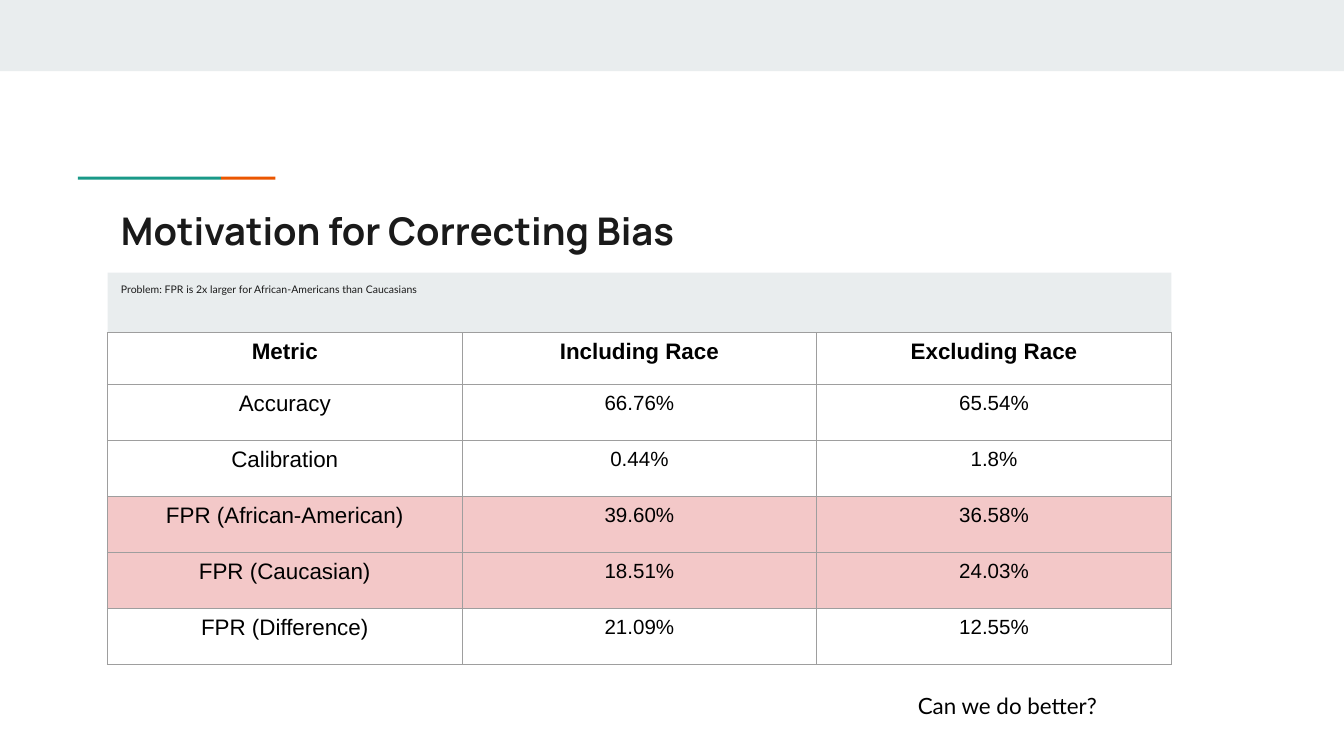
from lxml.etree import SubElement
from pptx import Presentation
from pptx.dml.color import RGBColor
from pptx.enum.shapes import MSO_SHAPE
from pptx.enum.text import MSO_ANCHOR, MSO_AUTO_SIZE, PP_ALIGN
from pptx.oxml import parse_xml
from pptx.oxml.ns import nsdecls, qn
from pptx.util import Pt

METRICS = [
    ("Metric", "Including Race", "Excluding Race"),
    ("Accuracy", "66.76%", "65.54%"),
    ("Calibration", "0.44%", "1.8%"),
    ("FPR (African-American)", "39.60%", "36.58%"),
    ("FPR (Caucasian)", "18.51%", "24.03%"),
    ("FPR (Difference)", "21.09%", "12.55%"),
]
HIGHLIGHTED_ROWS = (3, 4)


def color(value):
    return RGBColor.from_string(value)


class SlideBuilder:
    ink = "1A1A1A"
    black = "000000"
    band = "E9EDEE"
    teal = "1A9988"
    orange = "EB5600"
    highlight = "F3C8C8"
    border = "9E9E9E"
    inset = 7.2

    def __init__(self, page):
        self.page = page

    def place(self, shape, left, top, width, height):
        bounds = {"left": left, "top": top, "width": width, "height": height}
        for name, value in bounds.items():
            setattr(shape, name, Pt(value))

    def fill_text(self, frame, text, font, size, ink, bold=False, **paragraph_format):
        frame_format = {"word_wrap": True, "vertical_anchor": MSO_ANCHOR.TOP}
        for side in ("left", "top", "right", "bottom"):
            frame_format[f"margin_{side}"] = Pt(self.inset)
        for name, value in frame_format.items():
            setattr(frame, name, value)
        para = frame.paragraphs[0]
        for name, value in {"alignment": PP_ALIGN.LEFT, **paragraph_format}.items():
            setattr(para, name, value)
        span = para.add_run()
        span.text = text
        for name, value in {"name": font, "size": Pt(size), "bold": bold}.items():
            setattr(span.font, name, value)
        span.font.color.rgb = color(ink)
        return para

    def rectangle(self, bounds, fill):
        box = self.page.shapes.add_shape(MSO_SHAPE.RECTANGLE, *map(Pt, bounds))
        box.shadow.inherit = False
        box.fill.solid()
        box.fill.fore_color.rgb = color(fill)
        box.line.fill.background()

    def title(self, bounds, text):
        box = self.page.shapes.title
        self.place(box, *bounds)
        box.text_frame.auto_size = MSO_AUTO_SIZE.NONE
        self.fill_text(box.text_frame, text, "Manrope", 20.4, self.ink, True)

    def body(self, bounds, text):
        box = self.page.placeholders[1]
        self.place(box, *bounds)
        box.fill.solid()
        box.fill.fore_color.rgb = color(self.band)
        box.text_frame.auto_size = MSO_AUTO_SIZE.NONE
        para = self.fill_text(box.text_frame, text, "Lato", 5.6, self.ink,
                              line_spacing=0.75, space_before=Pt(0), space_after=Pt(12))
        properties = para._p.get_or_add_pPr()
        for name in ("marL", "indent"):
            properties.set(name, "0")
        SubElement(properties, qn("a:buNone"))

    def text(self, bounds, text):
        box = self.page.shapes.add_textbox(*map(Pt, bounds))
        self.fill_text(box.text_frame, text, "Lato", 12, self.black)

    def cell_borders(self, cell):
        properties = cell._tc.get_or_add_tcPr()
        for index, side in enumerate("LRTB"):
            properties.insert(index, parse_xml(
                f'<a:ln{side} {nsdecls("a")} w="{Pt(0.75)}"><a:solidFill>'
                f'<a:srgbClr val="{self.border}"/></a:solidFill></a:ln{side}>'))

    def table(self, left, top, column_width, row_heights, rows):
        columns = len(rows[0])
        table = self.page.shapes.add_table(
            len(rows), columns, Pt(left), Pt(top),
            Pt(column_width * columns), Pt(sum(row_heights))).table
        table.first_row = table.horz_banding = False
        for column in table.columns:
            column.width = Pt(column_width)
        for row_index, values in enumerate(rows):
            table.rows[row_index].height = Pt(row_heights[row_index])
            for column_index, value in enumerate(values):
                cell = table.cell(row_index, column_index)
                header = row_index == 0
                size = 12 if header or column_index == 0 else 11
                self.fill_text(cell.text_frame, value, "Arial", size, self.black,
                               header, alignment=PP_ALIGN.CENTER)
                if row_index in HIGHLIGHTED_ROWS:
                    cell.fill.solid()
                    cell.fill.fore_color.rgb = color(self.highlight)
                else:
                    cell.fill.background()
                self.cell_borders(cell)


def main():
    deck = Presentation()
    deck.slide_width, deck.slide_height = Pt(720), Pt(405)
    builder = SlideBuilder(deck.slides.add_slide(deck.slide_layouts[1]))
    builder.rectangle((0, 0, 720, 38.2), builder.band)
    builder.rectangle((41.8, 94.7, 76.7, 1.6), builder.teal)
    builder.rectangle((118.5, 94.7, 29, 1.6), builder.orange)
    builder.title((57.6, 103.7, 605.5, 42.5), "Motivation for Correcting Bias")
    builder.body((57.6, 146, 570, 32.2),
                 "Problem: FPR is 2x larger for African-Americans than Caucasians")
    builder.table(57.6, 178.2, 190, [28] + [30] * 5, METRICS)
    builder.text((484.6, 363.6, 156.2, 28.8), "Can we do better?")
    deck.save("out.pptx")


if __name__ == "__main__":
    main()
